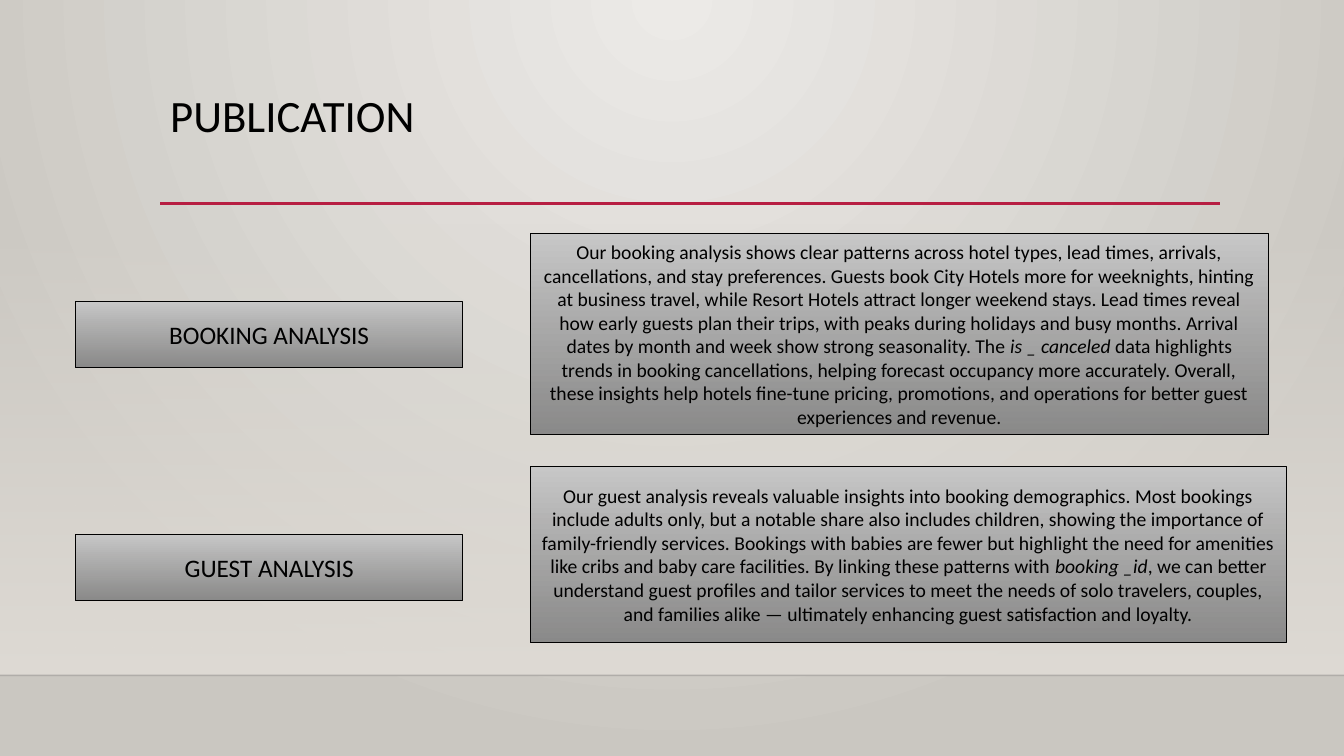
from dataclasses import dataclass

from pptx import Presentation
from pptx.dml.color import RGBColor
from pptx.enum.shapes import MSO_CONNECTOR, MSO_SHAPE
from pptx.enum.text import MSO_ANCHOR, PP_ALIGN
from pptx.oxml.ns import qn
from pptx.oxml.xmlchemy import OxmlElement
from pptx.util import Inches, Pt

RECTANGLE = MSO_SHAPE.RECTANGLE
STRAIGHT = MSO_CONNECTOR.STRAIGHT
CENTER = PP_ALIGN.CENTER
TOP = MSO_ANCHOR.TOP
MIDDLE = MSO_ANCHOR.MIDDLE


@dataclass(frozen=True)
class Theme:
    font: str = "Calibri"
    text: str = "000000"
    accent: str = "B71E42"
    floor_line: str = "000001"
    background: tuple = ("ECEAE7", "CAC7C1")
    wash: tuple = ("DFDBD5", "DFDBD5")
    panel: tuple = ("C8C8C8", "848484")
    title_size: int = 32
    label_size: int = 18
    body_size: int = 14


THEME = Theme()
SLIDE_WIDTH = 13.33
FLOOR_TOP = 6.7

LABELS = [("BOOKING ANALYSIS", 2.99), ("GUEST ANALYSIS", 5.3)]

FINDINGS = [
    (
        (5.26, 2.32, 7.32, 1.99),
        "Our booking analysis shows clear patterns across hotel types, lead times, arrivals, "
        "cancellations, and stay preferences. Guests book City Hotels more for weeknights, "
        "hinting at business travel, while Resort Hotels attract longer weekend stays. Lead "
        "times reveal how early guests plan their trips, with peaks during holidays and busy "
        "months. Arrival dates by month and week show strong seasonality. The ",
        "is _ canceled",
        " data highlights trends in booking cancellations, helping forecast occupancy more "
        "accurately. Overall, these insights help hotels fine-tune pricing, promotions, and "
        "operations for better guest experiences and revenue.",
    ),
    (
        (5.26, 4.63, 7.5, 1.74),
        "Our guest analysis reveals valuable insights into booking demographics. Most bookings "
        "include adults only, but a notable share also includes children, showing the "
        "importance of family-friendly services. Bookings with babies are fewer but highlight "
        "the need for amenities like cribs and baby care facilities. By linking these patterns "
        "with ",
        "booking _id",
        ", we can better understand guest profiles and tailor services to meet the needs of "
        "solo travelers, couples, and families alike — ultimately enhancing guest satisfaction "
        "and loyalty.",
    ),
]


def color(value):
    return RGBColor.from_string(value)


def set_alpha(color_element, percent):
    alpha = OxmlElement("a:alpha")
    alpha.set("val", str(percent * 1000))
    color_element.append(alpha)


def set_gradient(fill, colors):
    fill.gradient()
    fill.gradient_angle = 270
    for stop, value, position in zip(fill.gradient_stops, colors, (0, 1)):
        stop.color.rgb = color(value)
        stop.position = position


def set_background(slide):
    set_gradient(slide.background.fill, THEME.background)
    linear = slide.element.xpath("./p:cSld/p:bg//a:lin")[0]
    circle = OxmlElement("a:path")
    circle.set("path", "circle")
    center = OxmlElement("a:fillToRect")
    for side, percent in zip("ltrb", (43, 0, 43, 100)):
        center.set(side, str(percent * 1000))
    circle.append(center)
    linear.getparent().replace(linear, circle)


def add_gradient_box(slide, box, colors, alphas):
    shape = slide.shapes.add_shape(RECTANGLE, *map(Inches, box))
    shape.shadow.inherit = False
    set_gradient(shape.fill, colors)
    for color_element, alpha in zip(shape.element.spPr.xpath(".//a:srgbClr"), alphas):
        set_alpha(color_element, alpha)
    shape.line.fill.background()
    return shape


def add_rule(slide, left, right, top, line_color, width, alpha=100):
    rule = slide.shapes.add_connector(
        STRAIGHT, Inches(left), Inches(top), Inches(right), Inches(top)
    )
    rule.line.color.rgb = color(line_color)
    rule.line.width = Pt(width)
    properties = rule.element.spPr
    if alpha < 100:
        set_alpha(properties.find(".//" + qn("a:srgbClr")), alpha)
    properties.append(OxmlElement("a:effectLst"))


def style_paragraph(paragraph, size):
    paragraph.font.name = THEME.font
    paragraph.font.size = Pt(size)
    paragraph.font.color.rgb = color(THEME.text)


def add_title(slide, text):
    title = slide.shapes.add_textbox(Inches(1.59), Inches(0.88), Inches(10.5), Inches(0.87))
    title.text_frame.word_wrap = True
    title.text_frame.vertical_anchor = TOP
    paragraph = title.text_frame.paragraphs[0]
    paragraph.text = text
    paragraph.line_spacing = 0.9
    style_paragraph(paragraph, THEME.title_size)


def add_panel(slide, box, size, before, emphasis="", after=""):
    panel = add_gradient_box(slide, box, THEME.panel, (100, 92))
    panel.line.color.rgb = color(THEME.text)
    panel.line.width = Pt(0.75)
    frame = panel.text_frame
    frame.word_wrap = True
    frame.vertical_anchor = MIDDLE
    paragraph = frame.paragraphs[0]
    paragraph.alignment = CENTER
    style_paragraph(paragraph, size)
    for text in filter(None, (before, emphasis, after)):
        run = paragraph.add_run()
        run.text = text
        if text == emphasis:
            run.font.italic = True


def main():
    presentation = Presentation()
    presentation.slide_width = Inches(SLIDE_WIDTH)
    presentation.slide_height = Inches(7.5)
    slide = presentation.slides.add_slide(presentation.slide_layouts[6])

    set_background(slide)
    add_gradient_box(slide, (0, 2.21, SLIDE_WIDTH, FLOOR_TOP - 2.21), THEME.wash, (0, 100))
    add_rule(slide, 0, SLIDE_WIDTH, FLOOR_TOP, THEME.floor_line, 1, alpha=20)
    add_rule(slide, 1.59, 12.1, 2.02, THEME.accent, 2.5)
    add_title(slide, "PUBLICATION")
    for text, top in LABELS:
        add_panel(slide, (0.75, top, 3.84, 0.66), THEME.label_size, text)
    for box, before, emphasis, after in FINDINGS:
        add_panel(slide, box, THEME.body_size, before, emphasis, after)

    presentation.save("out.pptx")


if __name__ == "__main__":
    main()
